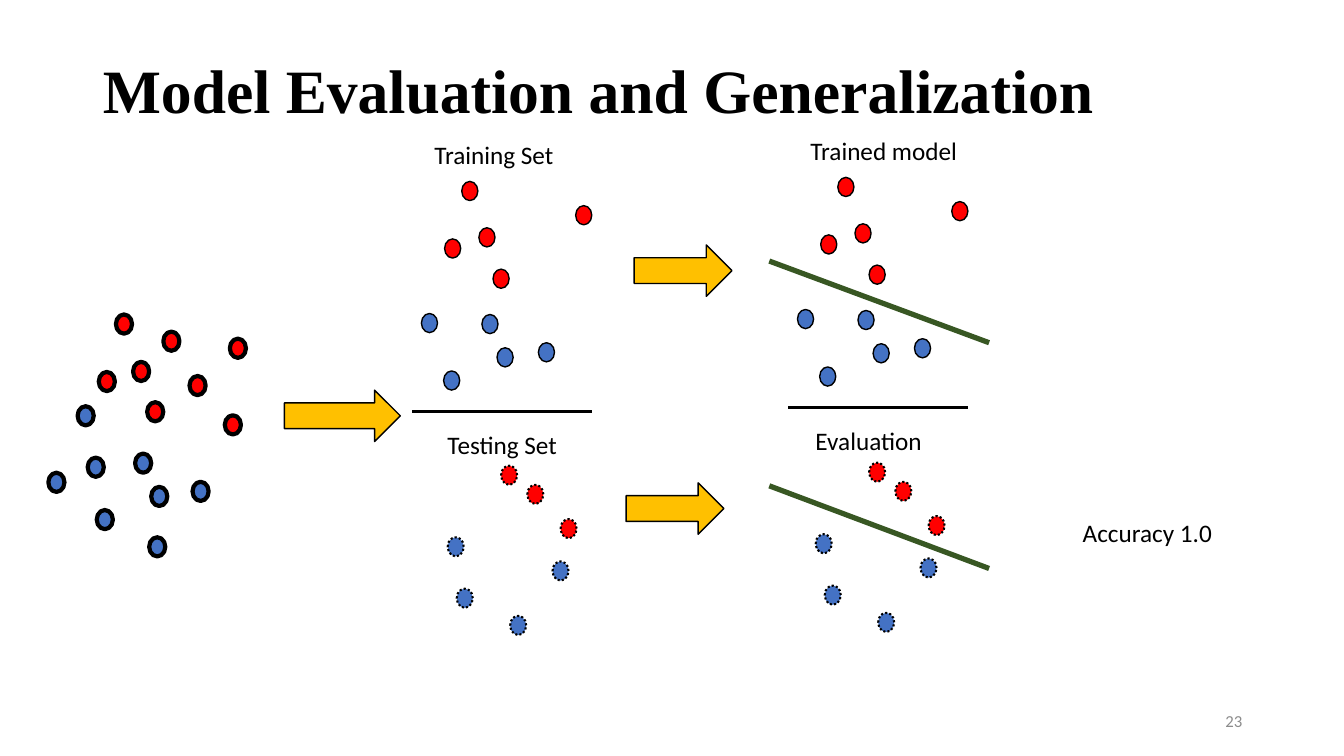
from lxml.etree import SubElement
from pptx import Presentation
from pptx.dml.color import RGBColor
from pptx.enum.dml import MSO_LINE
from pptx.enum.shapes import MSO_CONNECTOR, MSO_SHAPE
from pptx.enum.text import MSO_ANCHOR, MSO_AUTO_SIZE, PP_ALIGN
from pptx.oxml.ns import qn
from pptx.util import Inches, Pt

COLORS = {"black": "000000", "gray": "8C8C8C", "red": "FF0000",
          "blue": "4472C4", "gold": "FFC000", "green": "385723"}
DOT_SIZE = (0.16, 0.19)

FULL_SET = {
    "red": [(1.88, 3.73), (1.46, 3.99), (2.23, 4.12), (0.98, 3.69),
            (1.32, 3.59), (1.62, 3.29), (1.15, 3.12), (2.28, 3.36)],
    "blue": [(1.34, 4.5), (1.91, 4.78), (0.87, 4.54), (0.77, 4.03),
             (0.48, 4.69), (0.96, 5.06), (1.5, 4.83), (1.48, 5.33)],
}
TRAINING_SET = {
    "red": [(4.89, 2.67), (4.41, 2.37), (4.75, 2.26), (4.58, 1.8), (5.71, 2.04)],
    "blue": [(4.78, 3.12), (5.34, 3.4), (4.18, 3.11), (4.4, 3.68), (4.93, 3.45)],
}
TESTING_SET = {
    "red": [(5.23, 4.81), (5.56, 5.15), (4.97, 4.62)],
    "blue": [(5.48, 5.57), (4.44, 5.33), (4.53, 5.84), (5.06, 6.11)],
}
TRAINED_SHIFT = (3.73, -0.04)
EVALUATION_SHIFT = (3.65, -0.03)


def color(name):
    return RGBColor.from_string(COLORS[name])


def apply(obj, formats):
    for name, value in formats.items():
        setattr(obj, name, value)


class SlideBuilder:
    """Holds the text style and the slide being drawn."""

    def __init__(self, slide):
        self.slide = slide
        self.shapes = slide.shapes
        self.label_font = {"name": "Calibri", "size": Pt(18)}

    def place(self, sp, box):
        apply(sp, dict(zip(("left", "top", "width", "height"), map(Inches, box))))

    def title(self, text, box):
        sp = self.shapes.title
        self.place(sp, box)
        tf = sp.text_frame
        apply(tf, {"vertical_anchor": MSO_ANCHOR.MIDDLE, "word_wrap": True,
                   "auto_size": MSO_AUTO_SIZE.NONE})
        p = tf.paragraphs[0]
        apply(p, {"line_spacing": 0.9, "alignment": PP_ALIGN.LEFT})
        r = p.add_run()
        r.text = text
        apply(r.font, {"name": "Times New Roman", "size": Pt(44), "bold": True})
        r.font.color.rgb = color("black")

    def label(self, text, box, fill="black", frame=None, align=PP_ALIGN.LEFT, **font):
        sp = self.shapes.add_textbox(*map(Inches, box))
        tf = sp.text_frame
        apply(tf, {"word_wrap": False, "auto_size": MSO_AUTO_SIZE.SHAPE_TO_FIT_TEXT,
                   **(frame or {})})
        p = tf.paragraphs[0]
        p.alignment = align
        r = p.add_run()
        r.text = text
        apply(r.font, {**self.label_font, **font})
        r.font.color.rgb = color(fill)

    def shape(self, kind, box, fill, **line):
        sp = self.shapes.add_shape(kind, *map(Inches, box))
        sp.shadow.inherit = False
        sp.fill.solid()
        sp.fill.fore_color.rgb = color(fill)
        sp.line.color.rgb = color("black")
        apply(sp.line, line)

    def arrow(self, left, top, width):
        self.shape(MSO_SHAPE.RIGHT_ARROW, (left, top, width, 0.51), "gold", width=Pt(1))

    def dots(self, points, shift=(0, 0), **line):
        dx, dy = shift
        for fill, spots in points.items():
            for x, y in spots:
                self.shape(MSO_SHAPE.OVAL, (x + dx, y + dy, *DOT_SIZE), fill, **line)

    def line(self, start, end, stroke, width):
        cx = self.shapes.add_connector(MSO_CONNECTOR.STRAIGHT, *map(Inches, start + end))
        cx.line.color.rgb = color(stroke)
        cx.line.width = Pt(width)
        SubElement(cx._element.spPr, qn("a:effectLst"))


def main():
    prs = Presentation()
    apply(prs, {"slide_width": Inches(13.33), "slide_height": Inches(7.5)})
    s = SlideBuilder(prs.slides.add_slide(prs.slide_layouts[5]))

    s.title("Model Evaluation and Generalization", (0.92, 0.4, 10.15, 1.05))
    s.label("23", (9.42, 6.95, 3, 0.4), fill="gray", align=PP_ALIGN.RIGHT, size=Pt(12),
            frame={"word_wrap": True, "auto_size": MSO_AUTO_SIZE.NONE,
                   "vertical_anchor": MSO_ANCHOR.MIDDLE})

    solid = {"width": Pt(1)}
    dotted = {"width": Pt(1.5), "dash_style": MSO_LINE.ROUND_DOT}
    s.dots(FULL_SET, width=Pt(3))
    s.dots(TESTING_SET, **dotted)
    s.dots(TRAINING_SET, **solid)
    s.dots(TRAINING_SET, TRAINED_SHIFT, **solid)

    for left, y in ((4.09, 4.08), (7.82, 4.04)):
        s.line((left, y), (left + 1.78, y), "black", 2.25)
    s.line((7.63, 2.59), (9.81, 3.4), "green", 3.75)
    s.dots(TESTING_SET, EVALUATION_SHIFT, **dotted)
    s.line((7.63, 4.82), (9.81, 5.64), "green", 3.75)

    for text, left, top, width in (("Training Set", 4.21, 1.33, 1.4),
                                   ("Testing Set", 4.34, 4.21, 1.3),
                                   ("Trained model", 7.94, 1.29, 1.67),
                                   ("Evaluation", 7.99, 4.17, 1.27)):
        s.label(text, (left, top, width, 0.4))
    s.label("Accuracy 1.0", (10.64, 5.08, 1.7, 0.4), frame={"word_wrap": True})

    for left, top, width in ((2.82, 3.87, 1.15), (6.29, 2.43, 0.97), (6.21, 4.79, 0.97)):
        s.arrow(left, top, width)

    prs.save("out.pptx")


if __name__ == "__main__":
    main()
